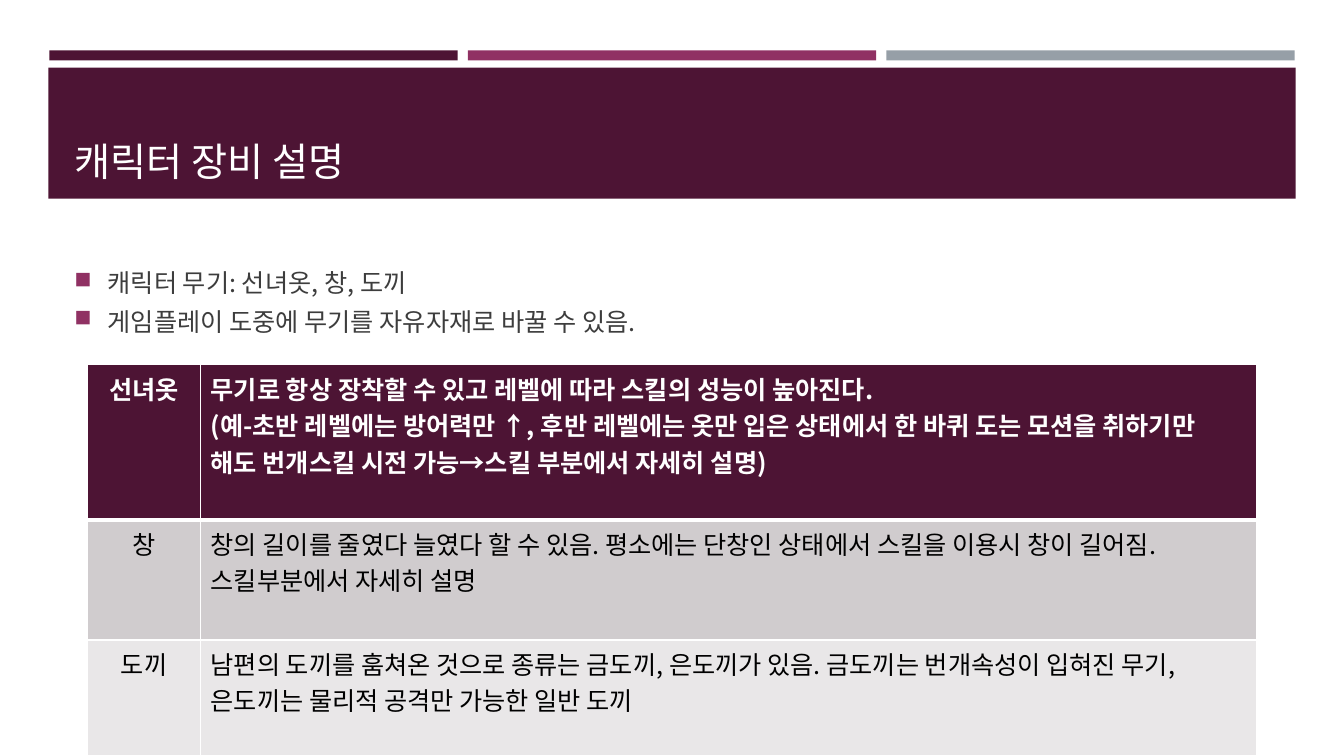
from dataclasses import dataclass

from lxml.etree import SubElement
from pptx import Presentation
from pptx.dml.color import RGBColor
from pptx.enum.shapes import MSO_SHAPE as Shape
from pptx.enum.text import MSO_ANCHOR as Anchor, PP_ALIGN as Align
from pptx.oxml.ns import qn
from pptx.util import Inches, Pt


@dataclass(frozen=True)
class Theme:
    font: str = "Noto Sans CJK KR"
    plum: str = "4D1434"
    magenta: str = "903163"
    gray: str = "969FA7"
    white: str = "FFFFFF"
    black: str = "000000"
    body: str = "3D3D3D"
    band_dark: str = "D0CCCE"
    band_light: str = "E9E7E8"
    title_size: int = 28
    text_size: int = 18


THEME = Theme()

EQUIPMENT = [
    ("선녀옷", ["무기로 항상 장착할 수 있고 레벨에 따라 스킬의 성능이 높아진다.",
             "(예-초반 레벨에는 방어력만 ↑, 후반 레벨에는 옷만 입은 상태에서 한 바퀴 도는 모션을 "
             "취하기만 해도 번개스킬 시전 가능→스킬 부분에서 자세히 설명)"]),
    ("창", ["창의 길이를 줄였다 늘였다 할 수 있음. 평소에는 단창인 상태에서 스킬을 이용시 창이 길어짐. "
          "스킬부분에서 자세히 설명"]),
    ("도끼", ["남편의 도끼를 훔쳐온 것으로 종류는 금도끼, 은도끼가 있음. 금도끼는 번개속성이 입혀진 무기, "
           "은도끼는 물리적 공격만 가능한 일반 도끼"]),
]


def box(left, top, width, height):
    return [Inches(length) for length in (left, top, width, height)]


def add_bar(slide, area, color):
    shape = slide.shapes.add_shape(Shape.RECTANGLE, *box(*area))
    shape.shadow.inherit = False
    shape.fill.solid()
    shape.fill.fore_color.rgb = RGBColor.from_string(color)
    shape.line.fill.background()


def write_paragraphs(text_frame, lines, color, size=THEME.text_size, bold=False, **layout):
    for index, line in enumerate(lines):
        paragraph = text_frame.paragraphs[0] if index == 0 else text_frame.add_paragraph()
        for name, value in layout.items():
            setattr(paragraph, name, value)
        run = paragraph.add_run()
        run.text = line
        for name, value in {"name": THEME.font, "size": Pt(size), "bold": bold}.items():
            setattr(run.font, name, value)
        run.font.color.rgb = RGBColor.from_string(color)
        SubElement(run.font._element, qn("a:ea"), typeface=THEME.font)


def add_text(slide, area, lines, color, anchor, **style):
    text_frame = slide.shapes.add_textbox(*box(*area)).text_frame
    text_frame.word_wrap = True
    text_frame.vertical_anchor = anchor
    write_paragraphs(text_frame, lines, color, **style)
    return text_frame


def add_bullet(paragraph):
    indent = Inches(0.33)
    properties = paragraph._p.get_or_add_pPr()
    properties.set("marL", str(indent))
    properties.set("indent", str(-indent))
    bullet_color = SubElement(properties, qn("a:buClr"))
    SubElement(bullet_color, qn("a:srgbClr"), val=THEME.magenta)
    SubElement(properties, qn("a:buSzPct"), val="92000")
    SubElement(properties, qn("a:buChar"), char="■")


def set_borders(cell, top, bottom):
    properties = cell._tc.get_or_add_tcPr()
    for side, width in {"L": 1, "R": 1, "T": top, "B": bottom}.items():
        line = SubElement(properties, qn(f"a:ln{side}"), w=str(Pt(width)))
        fill = SubElement(line, qn("a:solidFill"))
        SubElement(fill, qn("a:srgbClr"), val=THEME.white)


def add_equipment_table(slide):
    heights = [1.54, 1.19, 1.15]
    widths = [1.12, 10.47]
    area = box(0.87, 3.62, sum(widths), sum(heights))
    table = slide.shapes.add_table(len(heights), len(widths), *area).table
    for column, width in zip(table.columns, widths):
        column.width = Inches(width)
    fills = [THEME.plum, THEME.band_dark, THEME.band_light]
    for index, (name, description) in enumerate(EQUIPMENT):
        table.rows[index].height = Inches(heights[index])
        header = index == 0
        color = THEME.white if header else THEME.black
        contents = [([name], Align.CENTER), (description, Align.LEFT)]
        for cell, (lines, alignment) in zip(table.rows[index].cells, contents):
            set_borders(cell, top=3 if index == 1 else 1, bottom=3 if header else 1)
            cell.fill.solid()
            cell.fill.fore_color.rgb = RGBColor.from_string(fills[index])
            write_paragraphs(cell.text_frame, lines, color, bold=header, alignment=alignment)


def main():
    presentation = Presentation()
    presentation.slide_width = Inches(13.33)
    presentation.slide_height = Inches(7.5)
    slide = presentation.slides.add_slide(presentation.slide_layouts[6])

    for index, color in enumerate([THEME.plum, THEME.magenta, THEME.gray]):
        add_bar(slide, (0.49 + index * 4.15, 0.5, 4.05, 0.1), color)
    add_bar(slide, (0.48, 0.67, 12.37, 1.3), THEME.plum)
    add_text(slide, (0.64, 0.77, 12.06, 1.11), ["캐릭터 장비 설명"],
             THEME.white, Anchor.BOTTOM, size=THEME.title_size)

    summary = add_text(
        slide, (0.64, 2.38, 12.06, 1.23),
        ["캐릭터 무기: 선녀옷, 창, 도끼", "게임플레이 도중에 무기를 자유자재로 바꿀 수 있음."],
        THEME.body, Anchor.MIDDLE, space_after=Pt(6))
    for paragraph in summary.paragraphs:
        add_bullet(paragraph)

    add_equipment_table(slide)
    presentation.save("out.pptx")


if __name__ == "__main__":
    main()
